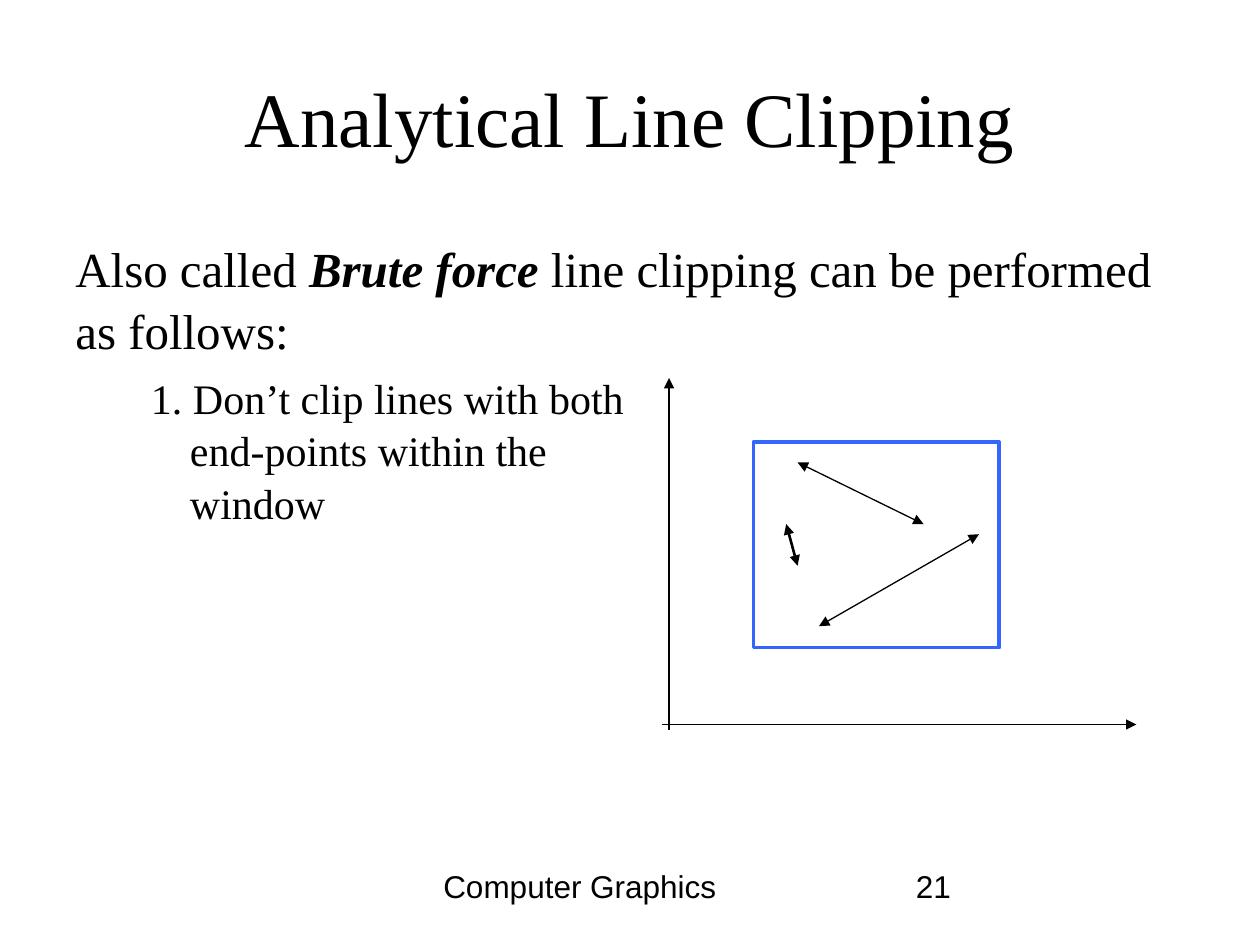
from dataclasses import dataclass

from lxml.etree import SubElement
from pptx import Presentation
from pptx.dml.color import RGBColor
from pptx.enum.shapes import MSO_CONNECTOR, MSO_SHAPE
from pptx.enum.text import MSO_ANCHOR, PP_ALIGN
from pptx.oxml.ns import qn
from pptx.util import Inches, Pt


@dataclass(frozen=True)
class Theme:
    ink: RGBColor = RGBColor(0, 0, 0)
    window: RGBColor = RGBColor(0x33, 0x66, 0xFF)
    serif: str = "Times New Roman"
    sans: str = "Arial"
    title: Pt = Pt(44)
    body: Pt = Pt(28)
    step: Pt = Pt(24)
    footer: Pt = Pt(18)


theme = Theme()


def style(p, name, size):
    p.font.name, p.font.size = name, size
    p.font.color.rgb = theme.ink


def add_arrow(start, end, width=0.75, both_ends=False):
    c = s.shapes.add_connector(MSO_CONNECTOR.STRAIGHT, *map(Inches, start + end))
    c.line.color.rgb = theme.ink
    c.line.width = Pt(width)
    ln = c.line._get_or_add_ln()
    for tag in ("a:headEnd", "a:tailEnd") if both_ends else ("a:tailEnd",):
        SubElement(ln, qn(tag), type="triangle")
    SubElement(c._element.spPr, qn("a:effectLst"))


prs = Presentation()
prs.slide_width, prs.slide_height = Inches(10), Inches(7.5)
s = prs.slides.add_slide(prs.slide_layouts[5])

# Title
title = s.shapes.title
title.left, title.top = Inches(0.5), Inches(0.3)
title.width, title.height = Inches(9), Inches(1.25)
tf = title.text_frame
tf.text = "Analytical Line Clipping"
tf.vertical_anchor = MSO_ANCHOR.MIDDLE
tf.paragraphs[0].alignment = PP_ALIGN.CENTER
style(tf.paragraphs[0], theme.serif, theme.title)

# Body
body = s.shapes.add_textbox(Inches(0.5), Inches(1.82), Inches(9), Inches(4.87))
tf = body.text_frame
tf.word_wrap = True
intro = tf.paragraphs[0]
for text, strong in (
    ("Also called ", False),
    ("Brute force", True),
    (" line clipping can be performed as follows:", False),
):
    r = intro.add_run()
    r.text = text
    if strong:
        r.font.bold = r.font.italic = True
style(intro, theme.serif, theme.body)

step = tf.add_paragraph()
step.text = "1. Don’t clip lines with both \vend-points within the \vwindow"
step.level = 1
step.space_before = Pt(6)
pPr = step._p.get_or_add_pPr()
pPr.set("marL", str(Inches(0.91)))
pPr.set("indent", str(Inches(-0.31)))
style(step, theme.serif, theme.step)
for p in tf.paragraphs:
    p.line_spacing = 1.05

# Footer and slide number
for text, left, width in (("Computer Graphics", 3.42, 3.16), ("21", 7.17, 2.33)):
    box = s.shapes.add_textbox(Inches(left), Inches(6.83), Inches(width), Inches(0.51))
    box.text_frame.word_wrap = True
    p = box.text_frame.paragraphs[0]
    p.text = text
    style(p, theme.sans, theme.footer)

# Axes
add_arrow((5.25, 5.75), (9.02, 5.75))
add_arrow((5.31, 5.79), (5.31, 3))

# Clip window
window = s.shapes.add_shape(
    MSO_SHAPE.RECTANGLE, Inches(5.98), Inches(3.51), Inches(1.95), Inches(1.63)
)
window.shadow.inherit = False
window.fill.background()
window.line.color.rgb = theme.window
window.line.width = Pt(2.25)

# Lines inside the window
for start, end, width in (
    ((6.5, 4.97), (7.77, 4.24), 0.75),
    ((6.33, 3.67), (7.33, 4.16), 0.75),
    ((6.33, 4.49), (6.24, 4.16), 1.5),
):
    add_arrow(start, end, width, both_ends=True)

prs.save("out.pptx")
